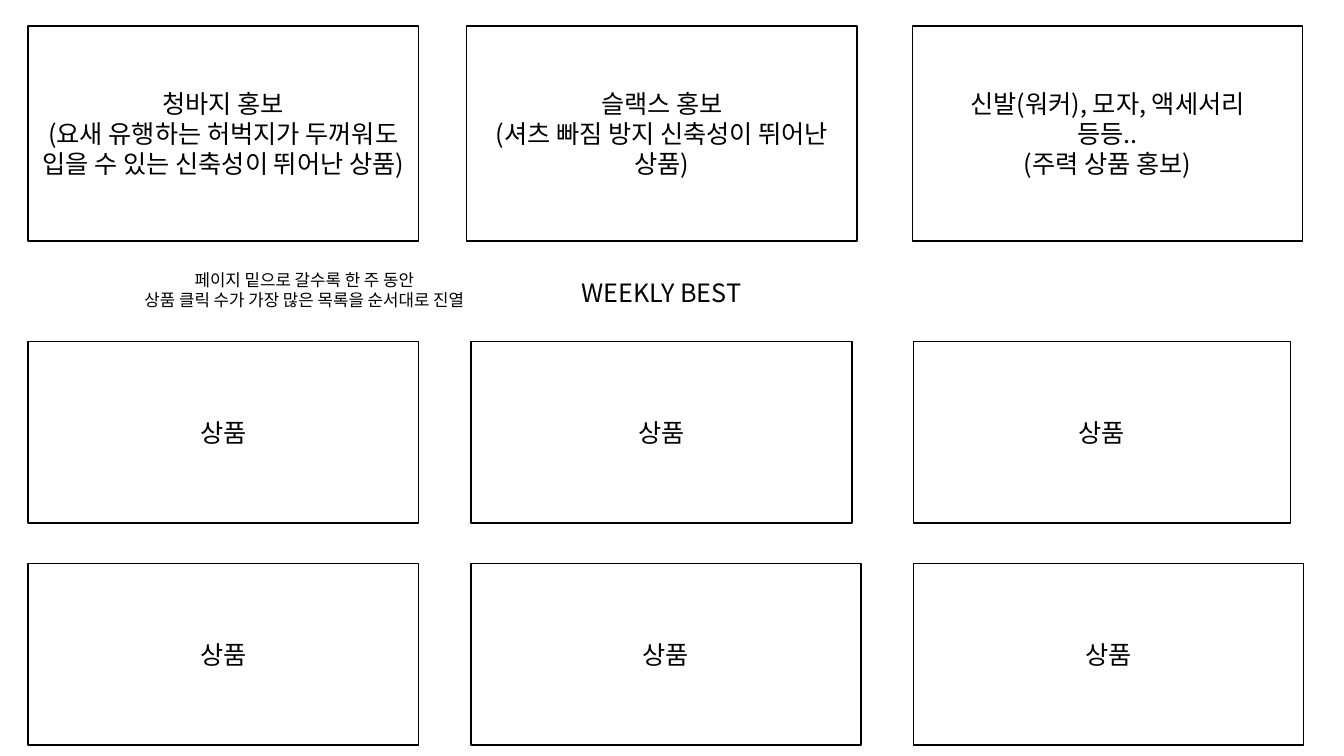
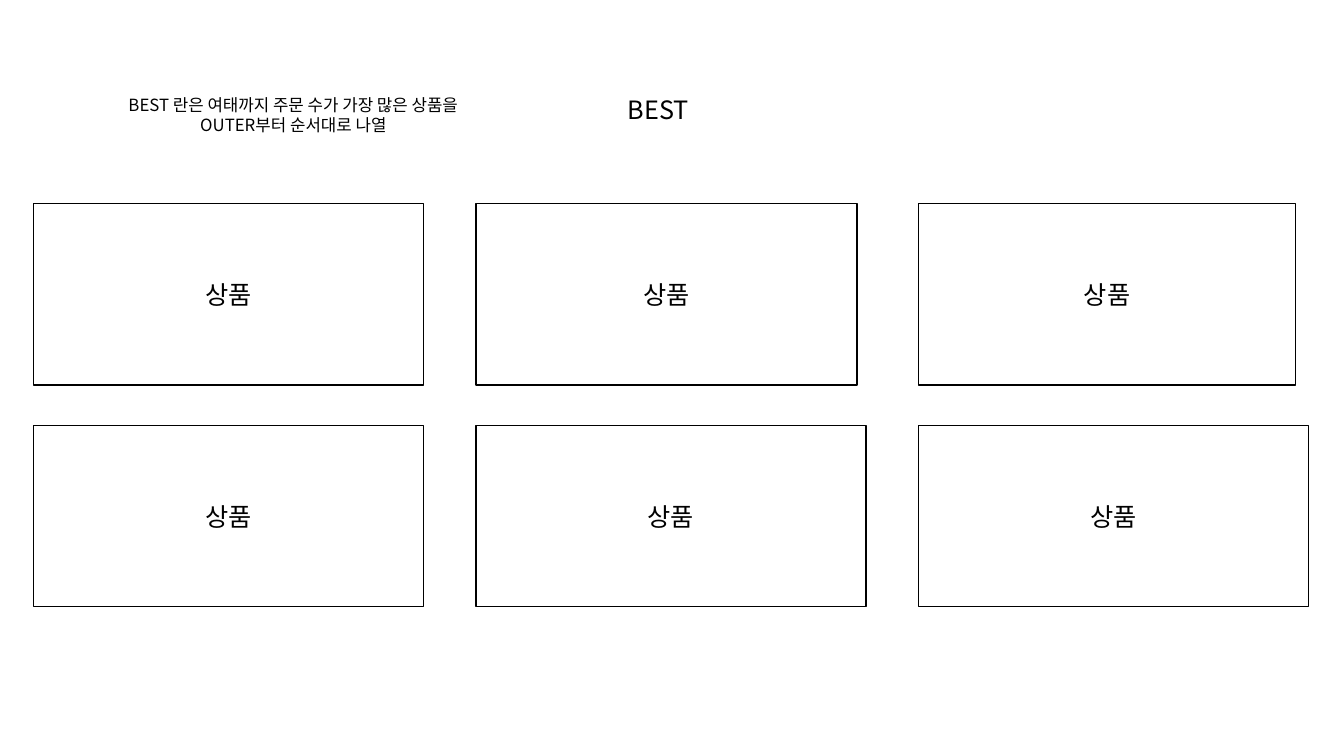
from lxml import etree
from pptx import Presentation
from pptx import util as u
from pptx.dml.color import RGBColor
from pptx.enum import shapes, text
from pptx.oxml import ns

PX = 9144
BLACK = RGBColor(0x00, 0x00, 0x00)
FONT = "Noto Sans CJK KR"
TITLE_ONLY = 5
CARD_W = 387
COL_PITCH = 439
ROW_PITCH = 220
PRODUCT_H = 180
PRODUCT_WIDTHS = [(CARD_W, 378, 374), (CARD_W, CARD_W, CARD_W)]
PROMOS = [
    (28, "청바지 홍보\n(요새 유행하는 허벅지가 두꺼워도 입을 수 있는 신축성이 뛰어난 상품)"),
    (463, "슬랙스 홍보\n(셔츠 빠짐 방지 신축성이 뛰어난 상품)"),
    (905, "신발(워커), 모자, 액세서리\n등등..\n(주력 상품 홍보)"),
]


def px(*values):
    return [u.Emu(v * PX) for v in values]


def write(tf, content, size=18):
    tf.text = content
    tf.word_wrap = True
    for p in tf.paragraphs:
        p.alignment = text.PP_ALIGN.CENTER
        for r in p.runs:
            r.font.size = u.Pt(size)
            r.font.color.rgb = BLACK
            r.font.name = FONT
            ea = etree.SubElement(r.font._element, ns.qn("a:ea"))
            ea.set("typeface", FONT)


def add_card(s, x, y, w, h, content):
    sp = s.shapes.add_shape(shapes.MSO_SHAPE.RECTANGLE, *px(x, y, w, h))
    sp.shadow.inherit = False
    sp.fill.background()
    sp.line.color.rgb = BLACK
    sp.line.width = u.Pt(1)
    write(sp.text_frame, content)
    sp.text_frame.vertical_anchor = text.MSO_ANCHOR.MIDDLE


def add_title(s, x, y, content):
    sp = s.shapes.title
    sp.left, sp.top, sp.width, sp.height = px(x, y, 1264, 40)
    tf = sp.text_frame
    write(tf, content)
    tf.vertical_anchor = text.MSO_ANCHOR.TOP
    tf.auto_size = text.MSO_AUTO_SIZE.SHAPE_TO_FIT_TEXT


def add_note(s, x, y, content):
    tf = s.shapes.add_textbox(*px(x, y, 502, 50)).text_frame
    write(tf, content, 12)
    tf.auto_size = text.MSO_AUTO_SIZE.SHAPE_TO_FIT_TEXT


def add_products(s, left, top):
    for row, widths in enumerate(PRODUCT_WIDTHS):
        for col, w in enumerate(widths):
            add_card(s, left + col * COL_PITCH, top + row * ROW_PITCH,
                     w, PRODUCT_H, "상품")


def add_slide(prs):
    return prs.slides.add_slide(prs.slide_layouts[TITLE_ONLY])


def build_weekly_best(prs):
    s = add_slide(prs)
    for x, content in PROMOS:
        add_card(s, x, 26, CARD_W, 213, content)
    add_title(s, 24, 270, "WEEKLY BEST")
    add_products(s, 28, 339)
    add_note(s, 51, 263,
             "페이지 밑으로 갈수록 한 주 동안\n상품 클릭 수가 가장 많은 목록을 순서대로 진열")


def build_best(prs):
    s = add_slide(prs)
    add_title(s, 21, 89, "BEST")
    add_products(s, 33, 202)
    add_note(s, 40, 89,
             "BEST 란은 여태까지 주문 수가 가장 많은 상품을\nOUTER부터 순서대로 나열")


def main():
    prs = Presentation()
    prs.slide_width, prs.slide_height = px(1333, 750)
    build_weekly_best(prs)
    build_best(prs)
    prs.save("out.pptx")


if __name__ == "__main__":
    main()
